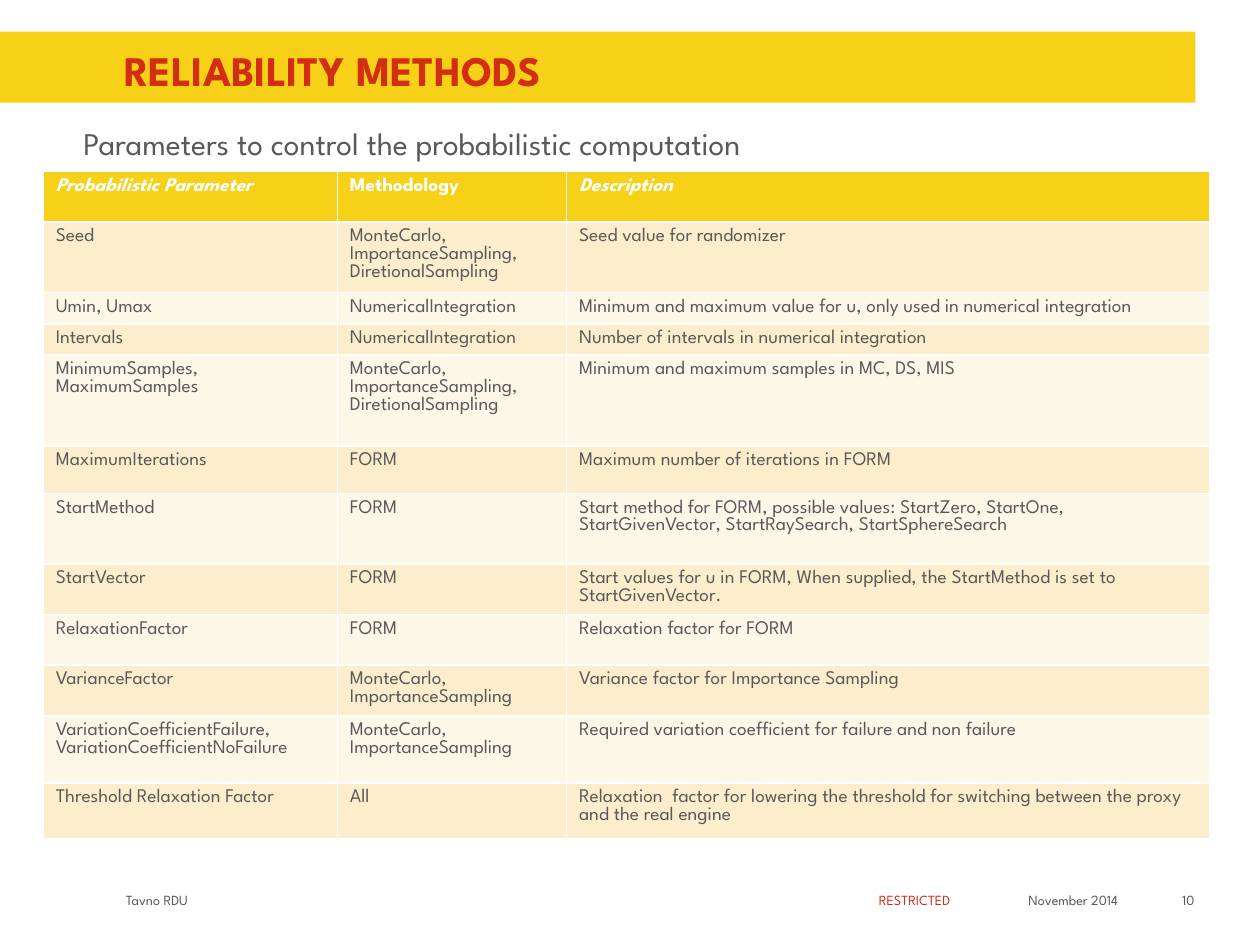
from pptx import Presentation
from pptx.dml.color import RGBColor
from pptx.enum.shapes import MSO_SHAPE
from pptx.enum.text import MSO_ANCHOR, MSO_AUTO_SIZE, PP_ALIGN
from pptx.oxml.ns import qn
from pptx.util import Cm, Pt

FONT = "League Spartan"
YELLOW = RGBColor(0xF7, 0xD1, 0x17)
RED = RGBColor(0xD4, 0x2E, 0x12)
GREY = RGBColor(0x59, 0x59, 0x59)
WHITE = RGBColor(0xFF, 0xFF, 0xFF)
DARK_BAND = RGBColor(0xFC, 0xEE, 0xCC)
LIGHT_BAND = RGBColor(0xFD, 0xF7, 0xE8)


def format_text(frame, size, color, bold=False, italic=False):
    for para in frame.paragraphs:
        for span in para.runs:
            span.font.name = FONT
            span.font.size = Pt(size)
            span.font.color.rgb = color
            span.font.bold = bold
            span.font.italic = italic


def place(shape, left, top, width, height, bottom_inset=0):
    """Move a text shape (in cm) and give it a fixed, wrapping frame."""
    shape.left, shape.top = Cm(left), Cm(top)
    shape.width, shape.height = Cm(width), Cm(height)
    frame = shape.text_frame
    frame.word_wrap = True
    frame.auto_size = MSO_AUTO_SIZE.NONE
    frame.margin_left = frame.margin_top = frame.margin_right = 0
    frame.margin_bottom = Cm(bottom_inset)


deck = Presentation()
deck.slide_width, deck.slide_height = Cm(25.4), Cm(19.05)
slide = deck.slides.add_slide(deck.slide_layouts[1])
title, body = slide.placeholders

# Title on its yellow band
band = slide.shapes.add_shape(MSO_SHAPE.RECTANGLE, 0, Cm(0.64), Cm(24.1), Cm(1.43))
band.shadow.inherit = False
band.fill.solid()
band.fill.fore_color.rgb = YELLOW
band.line.fill.background()
title.element.addprevious(band.element)

title.text_frame.text = "RELIABILITY METHODS"
place(title, 2.5, 0.81, 21.4, 1.17)
title.text_frame.vertical_anchor = MSO_ANCHOR.MIDDLE
title.text_frame.paragraphs[0].alignment = PP_ALIGN.LEFT
format_text(title.text_frame, 24, RED, bold=True)

# Lead line without a bullet
body.text_frame.text = "Parameters to control the probabilistic computation"
place(body, 1.68, 2.34, 21.6, 14.1)
lead = body.text_frame.paragraphs[0]
lead.line_spacing = 1.2
lead.space_before, lead.space_after = Pt(0), Pt(6)
properties = lead.element.get_or_add_pPr() if hasattr(lead, "element") else lead._p.get_or_add_pPr()
properties.set("marL", "0")
properties.set("indent", "0")
properties.append(properties.makeelement(qn("a:buNone"), {}))
format_text(body.text_frame, 18, GREY)

# Parameter table: row height in cm, then the three cells
SAMPLING = "MonteCarlo, ImportanceSampling, DiretionalSampling"
IMPORTANCE = "MonteCarlo, ImportanceSampling"
ROWS = [
    (1.02, "Probabilistic Parameter", "Methodology", "Description"),
    (1.42, "Seed", SAMPLING, "Seed value for randomizer"),
    (0.63, "Umin, Umax", "NumericalIntegration",
     "Minimum and maximum value for u, only used in numerical integration"),
    (0.63, "Intervals", "NumericalIntegration", "Number of intervals in numerical integration"),
    (1.83, "MinimumSamples, MaximumSamples", SAMPLING, "Minimum and maximum samples in MC, DS, MIS"),
    (0.96, "MaximumIterations", "FORM", "Maximum number of iterations in FORM"),
    (1.42, "StartMethod", "FORM",
     "Start method for FORM, possible values: StartZero, StartOne, "
     "StartGivenVector, StartRaySearch, StartSphereSearch"),
    (1.02, "StartVector", "FORM",
     "Start values for u in FORM, When supplied, the StartMethod is set to StartGivenVector."),
    (1.02, "RelaxationFactor", "FORM", "Relaxation factor for FORM"),
    (1.02, "VarianceFactor", IMPORTANCE, "Variance factor for Importance Sampling"),
    (1.35, "VariationCoefficientFailure,\nVariationCoefficientNoFailure", IMPORTANCE,
     "Required variation coefficient for failure and non failure"),
    (1.12, "Threshold Relaxation Factor", "All",
     "Relaxation  factor for lowering the threshold for switching between the proxy "
     "and the real engine"),
]
COLUMN_WIDTHS = [5.93, 4.62, 12.97]

table = slide.shapes.add_table(
    len(ROWS), len(COLUMN_WIDTHS), Cm(0.87), Cm(3.46),
    Cm(sum(COLUMN_WIDTHS)), Cm(sum(row[0] for row in ROWS))).table
for column, width in zip(table.columns, COLUMN_WIDTHS):
    column.width = Cm(width)
for row_index, (height, *texts) in enumerate(ROWS):
    table.rows[row_index].height = Cm(height)
    header = row_index == 0
    fill_color = YELLOW if header else DARK_BAND if row_index % 2 else LIGHT_BAND
    for column_index, text in enumerate(texts):
        cell = table.cell(row_index, column_index)
        cell.fill.solid()
        cell.fill.fore_color.rgb = fill_color
        cell.text_frame.text = text
        format_text(cell.text_frame, 11, WHITE if header else GREY,
                    bold=header, italic=header and column_index != 1)

# Footer
FOOTERS = [
    ("Tavno RDU", 2.54, 7.01, PP_ALIGN.LEFT, GREY),
    ("RESTRICTED", 16.94, 3, PP_ALIGN.CENTER, RED),
    ("November 2014", 20.14, 3, PP_ALIGN.CENTER, GREY),
    ("10", 23.34, 0.74, PP_ALIGN.RIGHT, GREY),
]
for text, left, width, alignment, color in FOOTERS:
    box = slide.shapes.add_textbox(0, 0, 0, 0)
    box.text_frame.text = text
    place(box, left, 17.98, width, 0.48, bottom_inset=0.13)
    box.text_frame.paragraphs[0].alignment = alignment
    format_text(box.text_frame, 8, color)

deck.save("out.pptx")
